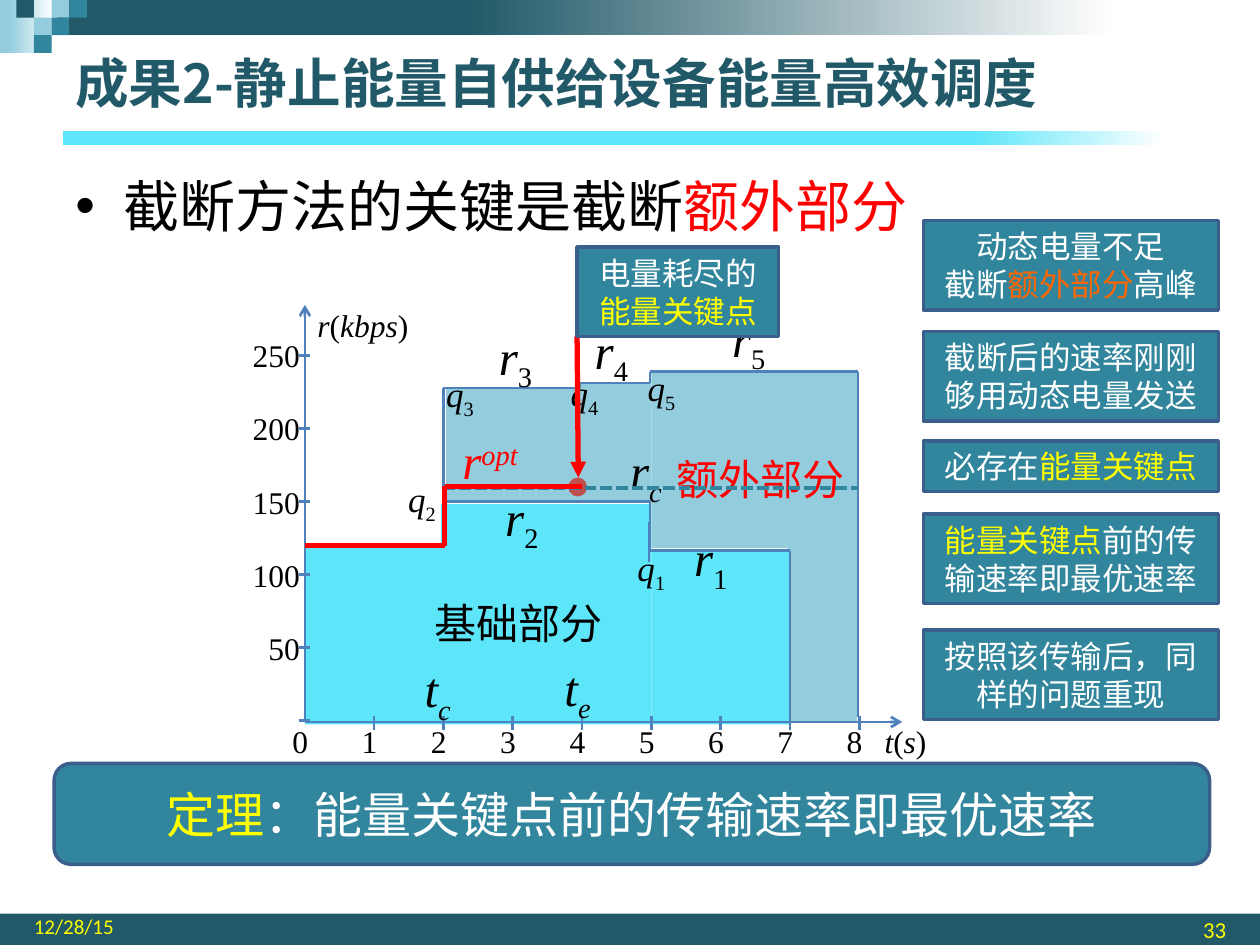
from dataclasses import dataclass
from typing import NamedTuple

from pptx import Presentation
from pptx import util as u
from pptx.dml.color import RGBColor
from pptx.enum import dml, shapes, text
from pptx.oxml.ns import qn
from lxml import etree


@dataclass(frozen=True)
class Theme:
    dark: str = "215968"
    teal: str = "31859C"
    pale: str = "93CDDD"
    cyan: str = "5DE6F9"
    edge: str = "3A5F8C"
    axis: str = "4F81BD"
    dot: str = "C0504D"
    red: str = "FF0000"
    gold: str = "FFFF00"
    warm: str = "FF6600"
    white: str = "FFFFFF"
    black: str = "000000"
    hans: str = "Noto Sans CJK SC"
    roman: str = "Times New Roman"
    plain: str = "Calibri"
    title: float = 30.6
    body: float = 32
    math: float = 28
    zone: float = 24
    point: float = 20
    note: float = 18
    page: float = 13
    date: float = 12


T = Theme()
LEFT, MID, RIGHT = text.PP_ALIGN.LEFT, text.PP_ALIGN.CENTER, text.PP_ALIGN.RIGHT
TOP, CENTRE, LOW = text.MSO_ANCHOR.TOP, text.MSO_ANCHOR.MIDDLE, text.MSO_ANCHOR.BOTTOM
RECT = shapes.MSO_SHAPE.RECTANGLE
ROUND = shapes.MSO_SHAPE.ROUNDED_RECTANGLE
OVAL = shapes.MSO_SHAPE.OVAL


class Run(NamedTuple):
    text: str
    color: str = T.black
    italic: bool = False
    base: int = 0


class Box(NamedTuple):
    x: float
    y: float
    w: float
    h: float


class Mark(NamedTuple):
    x: float
    y: float
    main: str
    sub: str
    slant: bool = False


class Note(NamedTuple):
    box: Box
    paras: list


deck = Presentation()
deck.slide_width, deck.slide_height = u.Inches(10), u.Inches(7.5)
slide = deck.slides.add_slide(deck.slide_layouts[6])


def put(item, form: dict) -> None:
    for key, val in form.items():
        setattr(item, key, val)


def rgb(code: str) -> RGBColor:
    return RGBColor.from_string(code)


def write(frame, paras: list, size: float, face: str, align=LEFT,
          anchor=TOP, inset: tuple = (0, 0), bold: bool = False) -> None:
    side, edge = (u.Inches(n) for n in inset)
    put(frame, dict(word_wrap=True, vertical_anchor=anchor, margin_left=side,
                    margin_right=side, margin_top=edge, margin_bottom=edge))
    for num, runs in enumerate(paras):
        para = frame.add_paragraph() if num else frame.paragraphs[0]
        para.alignment = align
        for bit in runs:
            run = para.add_run()
            run.text = bit.text
            run.font.color.rgb = rgb(bit.color)
            put(run.font, dict(size=u.Pt(size), name=face, bold=bold, italic=bit.italic))
            props = run._r.get_or_add_rPr()
            if face == T.hans:
                etree.SubElement(props, qn("a:ea")).set("typeface", face)
            if bit.base:
                props.set("baseline", str(bit.base * 1000))


def label(box: Box, runs: list, size: float, face: str = T.roman, **form):
    item = slide.shapes.add_textbox(*map(u.Inches, box))
    write(item.text_frame, [runs], size, face, **form)
    return item


def block(box: Box, fill: str, kind=RECT, edge: str = ""):
    item = slide.shapes.add_shape(kind, *map(u.Inches, box))
    item.shadow.inherit = False
    item.fill.solid()
    item.fill.fore_color.rgb = rgb(fill)
    if edge:
        item.line.color.rgb = rgb(edge)
        item.line.width = u.Pt(2)
    else:
        item.line.fill.background()
    return item


def fade(box: Box, first: tuple, last: tuple) -> None:
    fill = block(box, T.white).fill
    fill.gradient()
    fill.gradient_angle = 0
    for stop, (place, code) in zip(fill.gradient_stops, (first, last)):
        stop.position = place
        stop.color.rgb = rgb(code)


def line(x1: float, y1: float, x2: float, y2: float, color: str = T.axis,
         width: float = 1.5, tail: str = "", dash=None) -> None:
    item = slide.shapes.add_connector(
        shapes.MSO_CONNECTOR.STRAIGHT, *map(u.Inches, (x1, y1, x2, y2)))
    item.line.color.rgb = rgb(color)
    put(item.line, dict(width=u.Pt(width), dash_style=dash))
    if tail:
        etree.SubElement(item.line._get_or_add_ln(), qn("a:tailEnd")).set("type", tail)
    etree.SubElement(item._element.spPr, qn("a:effectLst"))


def trace(spots: list, **form) -> None:
    for start, end in zip(spots, spots[1:]):
        line(*start, *end, **form)


# Frame: footer bar, title rule, top band and mosaic
block(Box(0, 7.25, 10, 0.25), T.dark)
fade(Box(0.5, 1.04, 9.5, 0.11), (0.76, T.cyan), (0.92, T.white))
fade(Box(0, 0, 0.42, 0.42), (0.18, T.pale), (1, T.white))
fade(Box(0.45, 0, 9.55, 0.28), (0.34, T.dark), (0.88, T.white))
TILE = 0.14
for col, row, fill in [(3, 0, T.pale), (4, 0, T.teal), (2, 1, T.pale),
                       (1, 0, T.dark), (3, 1, T.teal), (2, 2, T.teal)]:
    block(Box(col * TILE - 0.01, row * TILE, TILE, TILE), fill)

# Title, bullet and footer text
PAD = (0.1, 0.05)
label(Box(0.5, 0.31, 8.71, 0.68), [Run("成果2-静止能量自供给设备能量高效调度", T.dark)],
      T.title, T.hans, anchor=CENTRE, inset=PAD, bold=True)
lead = label(Box(0.5, 1.31, 9.17, 0.75),
             [Run("截断方法的关键是截断"), Run("额外部分", T.red)], T.body, T.hans, inset=PAD)
props = lead.text_frame.paragraphs[0]._p.get_or_add_pPr()
props.set("marL", str(u.Inches(0.38)))
props.set("indent", str(-u.Inches(0.38)))
etree.SubElement(props, qn("a:buFont")).set("typeface", "Arial")
etree.SubElement(props, qn("a:buChar")).set("char", "•")
label(Box(0.17, 7.25, 2.33, 0.25), [Run("12/28/15", T.gold)],
      T.date, T.plain, anchor=LOW, inset=PAD)
label(Box(7.5, 7.25, 2.33, 0.25), [Run("33", T.gold)],
      T.page, T.plain, align=RIGHT, anchor=CENTRE, inset=PAD)

# Areas: extra zone above, base zone below
for area in [Box(6.25, 2.96, 0.55, 2.77), Box(5.17, 2.96, 1.1, 1.39),
             Box(4.59, 3.04, 0.58, 0.93), Box(3.54, 3.08, 1.07, 0.89)]:
    block(area, T.pale)
for area in [Box(5.17, 4.37, 1.1, 1.38), Box(3.5, 4, 1.67, 1.75), Box(2.42, 4.33, 1.08, 1.42)]:
    block(area, T.cyan)

# Axes, ticks and numbers
X0, Y0, DX, DY = 2.42, 5.73, 0.55, 0.58
line(X0, Y0, 7.16, Y0, tail="arrow")
line(X0, Y0, X0, 2.42, tail="arrow")
for num in range(9):
    x = X0 + num * DX
    if num:
        line(x, 5.68, x, 5.79)
    label(Box(x - 0.1, Y0, 0.21, 0.3), [Run(str(num))], T.note)
for num in range(6):
    y = Y0 - 0.01 - num * DY
    line(2.37, y, 2.46, y)
    if num:
        label(Box(1.97, y - 0.15, 0.41, 0.3), [Run(str(num * 50))], T.note, align=RIGHT)
for x, y, w, name, unit in [(2.52, 2.43, 0.8, "r", "kbps"), (7.02, 5.73, 0.39, "t", "s")]:
    label(Box(x, y, w, 0.3), [Run(name, italic=True), Run("("),
                              Run(unit, italic=True), Run(")")], T.note)

# Rate steps
trace([(3.52, 3.98), (5.16, 3.98), (5.16, 4.37), (6.27, 4.37), (6.27, Y0)])
trace([(2.42, 4.33), (3.52, 4.33), (3.52, 3.08), (4.6, 3.08), (4.6, 3.04),
       (5.16, 3.04), (5.16, 2.95), (6.81, 2.95), (6.81, 5.69)])
line(5.15, 4.14, 5.15, 4.46)
block(Box(4.51, 3.79, 0.15, 0.15), T.dot, OVAL)

# Labels in the plot
label(Box(5.37, 3.6, 1.38, 0.4), [Run("额外部分", T.red)], T.zone, T.hans)
label(Box(3.45, 4.74, 1.44, 0.4), [Run("基础部分")], T.zone, T.hans)
RATES = [Mark(5, 3.5, "r", "c", True), Mark(5.51, 4.19, "r", "1"), Mark(4.01, 3.87, "r", "2"),
         Mark(3.96, 2.59, "r", "3"), Mark(4.72, 2.54, "r", "4"), Mark(5.81, 2.45, "r", "5"),
         Mark(3.37, 5.23, "t", "c", True), Mark(4.48, 5.22, "t", "e", True)]
POINTS = [Mark(5.06, 4.34, "q", "1"), Mark(3.24, 3.79, "q", "2"), Mark(3.54, 2.96, "q", "3"),
          Mark(4.53, 2.95, "q", "4"), Mark(5.14, 2.91, "q", "5")]
for marks, size, w, h in [(RATES, T.math, 0.32, 0.47), (POINTS, T.point, 0.3, 0.34)]:
    for m in marks:
        label(Box(m.x, m.y, w, h), [Run(m.main, italic=True),
                                    Run(m.sub, italic=m.slant, base=-25)], size)

# Cut level and best rate
line(3.52, 3.87, 6.81, 3.87, T.teal, 2.25, dash=dml.MSO_LINE.SQUARE_DOT)
trace([(2.42, 4.33), (3.53, 4.33), (3.53, 3.86), (4.62, 3.86)], color=T.red, width=3)
label(Box(3.67, 3.42, 0.74, 0.47), [Run("r", T.red, True), Run("opt", T.red, True, 30)], T.math)

# Notes
line(4.58, 2.67, 4.59, 3.79, T.red, 3, tail="triangle")
KEY = Run("能量关键点", T.gold)
SX, SW = 7.33, 2.34
NOTES = [
    Note(Box(4.58, 1.96, 1.6, 0.71), [[Run("电量耗尽的", T.white), KEY]]),
    Note(Box(SX, 1.75, SW, 0.71), [[Run("动态电量不足", T.white)], [
        Run("截断", T.white), Run("额外部分", T.warm), Run("高峰", T.white)]]),
    Note(Box(SX, 2.63, SW, 0.71), [[Run("截断后的速率刚刚够用动态电量发送", T.white)]]),
    Note(Box(SX, 3.5, SW, 0.4), [[Run("必存在", T.white), KEY]]),
    Note(Box(SX, 4.08, SW, 0.71), [[KEY, Run("前的传输速率即最优速率", T.white)]]),
    Note(Box(SX, 5, SW, 0.71), [[Run("按照该传输后，同样的问题重现", T.white)]]),
]
for note in NOTES:
    item = block(note.box, T.teal, edge=T.edge)
    write(item.text_frame, note.paras, T.note, T.hans, MID, CENTRE, PAD)

# Theorem
item = block(Box(0.43, 6.06, 9.17, 0.8), T.teal, ROUND, T.edge)
write(item.text_frame, [[Run("定理", T.gold), Run("：能量关键点前的传输速率即最优速率", T.white)]],
      T.math, T.hans, MID, CENTRE, PAD)

deck.save("out.pptx")
